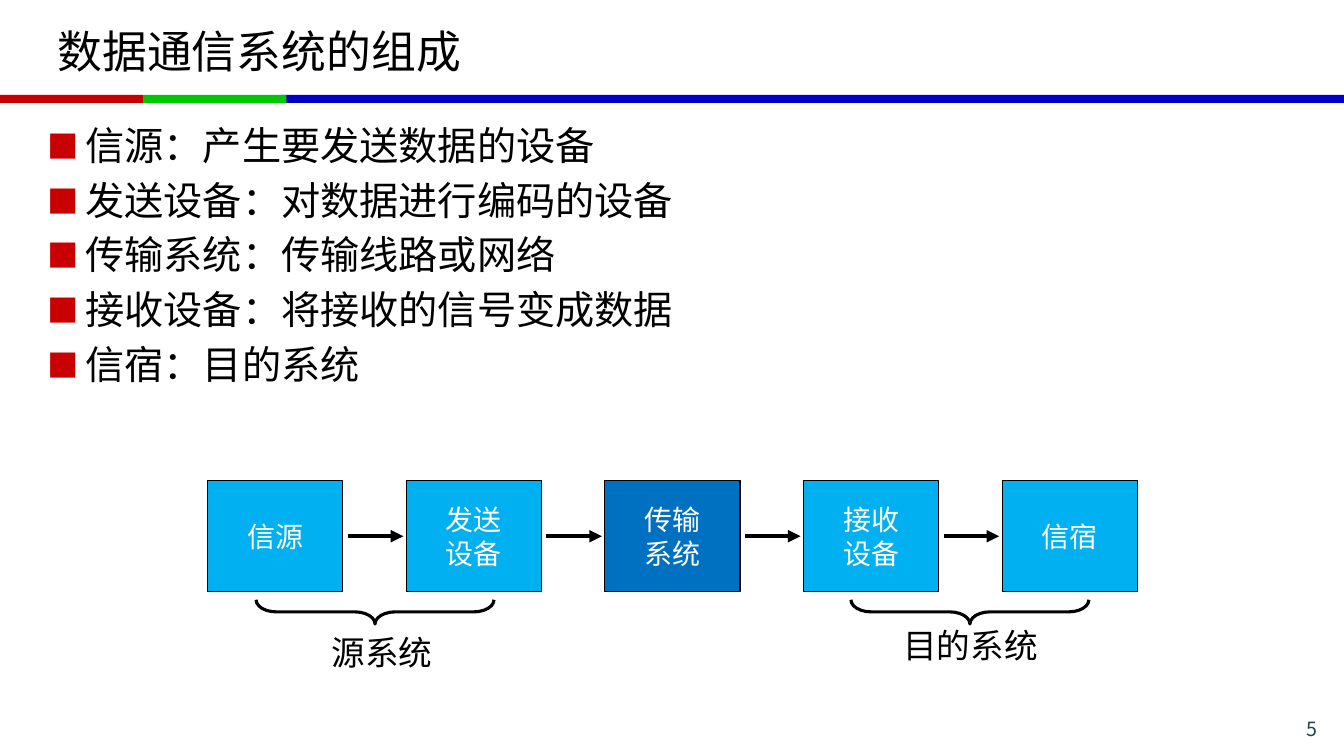
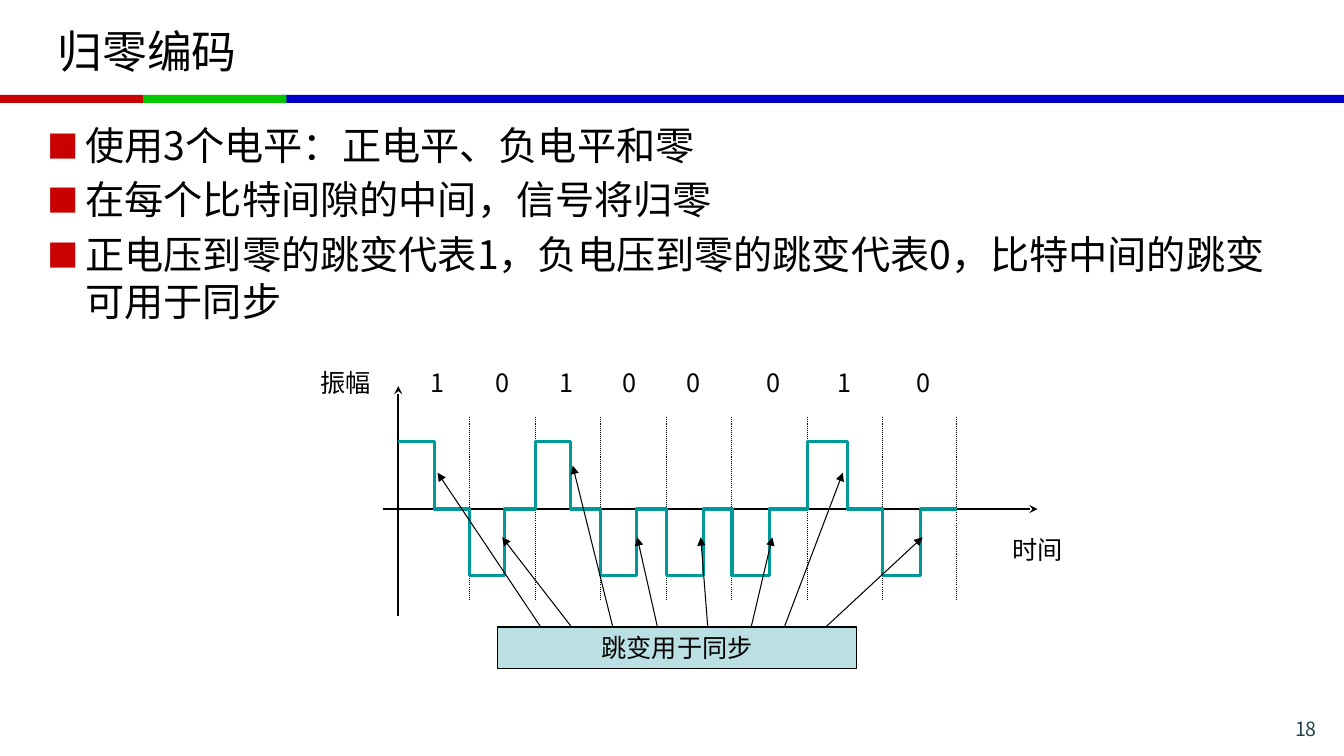
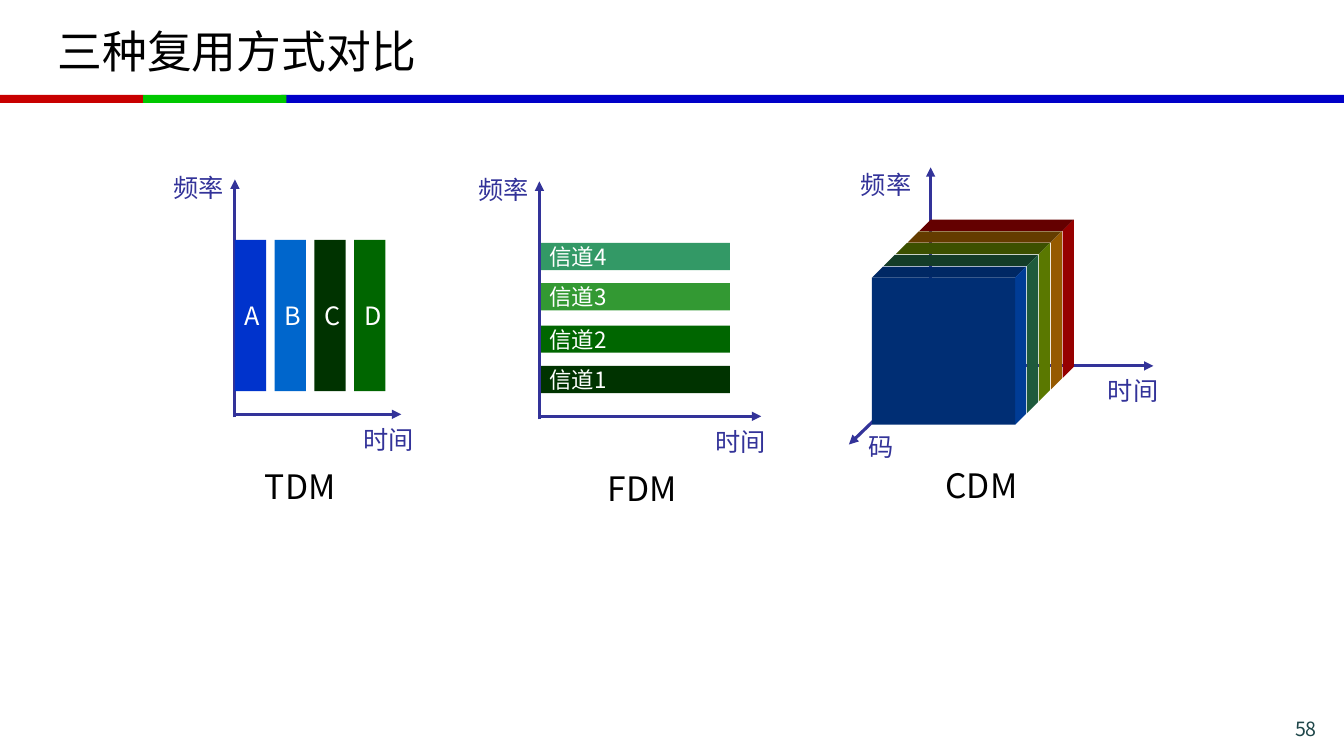
import pptx
import pptx.util
import pptx.dml.color
import pptx.enum.dml
import pptx.enum.shapes
import pptx.enum.text
import pptx.oxml
import pptx.oxml.ns
from pptx.util import Inches

FONT = "Noto Sans CJK SC"
BLACK, WHITE = "000000", "FFFFFF"
RED, GREEN, BLUE = "C80000", "00C800", "0000C8"
PAGE_NUMBER = "1E4649"
SKY, OCEAN, PALE, TEAL = "00B0F0", "0070C0", "BBE0E3", "009999"
AXIS = "333399"

SHAPE = pptx.enum.shapes.MSO_SHAPE
ALIGN = pptx.enum.text.PP_ALIGN
ANCHOR = pptx.enum.text.MSO_ANCHOR
AUTO = pptx.enum.text.MSO_AUTO_SIZE


def rgb(value):
    return pptx.dml.color.RGBColor.from_string(value)


def add_xml(parent, tag, **attributes):
    element = pptx.oxml.parse_xml(f"<{tag} {pptx.oxml.ns.nsdecls('a')}/>")
    for name, value in attributes.items():
        element.set(name, str(value))
    parent.append(element)
    return element


def write(tf, text, size, color=BLACK, align=ALIGN.LEFT, spacing=None):
    """Set the text of a frame and format every run, East Asian font included."""
    tf.text = text
    for p in tf.paragraphs:
        p.alignment = align
        if spacing:
            p.line_spacing = spacing
        for r in p.runs:
            r.font.size = pptx.util.Pt(size)
            r.font.color.rgb = rgb(color)
            r.font.name = FONT
            add_xml(r.font._element, "a:ea", typeface=FONT)


def outline(shape, color, width):
    shape.line.color.rgb = rgb(color)
    shape.line.width = pptx.util.Pt(width)


def paint(shape, fill=None, line=None, width=0.75):
    shape.shadow.inherit = False
    if fill:
        shape.fill.solid()
        shape.fill.fore_color.rgb = rgb(fill)
    else:
        shape.fill.background()
    if line:
        outline(shape, line, width)
    else:
        shape.line.fill.background()


def add_box(s, x, y, w, h, fill, line=None):
    sp = s.shapes.add_shape(SHAPE.RECTANGLE, Inches(x), Inches(y), Inches(w), Inches(h))
    paint(sp, fill, line)
    return sp


def add_text_box(s, x, y, w, h, fill, text, size, color=WHITE, align=ALIGN.LEFT, line=None):
    sp = add_box(s, x, y, w, h, fill, line)
    sp.text_frame.word_wrap = False
    sp.text_frame.vertical_anchor = ANCHOR.MIDDLE
    write(sp.text_frame, text, size, color, align)


def add_label(s, x, y, w, h, text, size, color=BLACK, spacing=None):
    tf = s.shapes.add_textbox(Inches(x), Inches(y), Inches(w), Inches(h)).text_frame
    tf.word_wrap = False
    tf.auto_size = AUTO.SHAPE_TO_FIT_TEXT
    write(tf, text, size, color, spacing=spacing)


def add_line(s, start, end, color=BLACK, width=0.75, arrow=None, dash=None):
    line = s.shapes.add_connector(
        pptx.enum.shapes.MSO_CONNECTOR.STRAIGHT, *map(Inches, start + end))
    outline(line, color, width)
    if dash:
        line.line.dash_style = dash
    if arrow:
        add_xml(line.line._get_or_add_ln(), "a:tailEnd", type=arrow)
    add_xml(line._element.spPr, "a:effectLst")


def add_outline(s, points, close=True):
    """Draw a freeform through points given in inches."""
    points = [(Inches(x), Inches(y)) for x, y in points]
    builder = s.shapes.build_freeform(*points[0], scale=1.0)
    builder.add_line_segments(points[1:], close=close)
    return builder.convert_to_shape()


def add_bullets(s, h, items):
    tf = s.shapes.add_textbox(Inches(0.37), Inches(1.15), Inches(12.6), Inches(h)).text_frame
    tf.word_wrap = True
    write(tf, "\n".join(items), 28)
    for i, p in enumerate(tf.paragraphs):
        if i:
            p.space_before = pptx.util.Pt(5.6)
        pPr = p._p.get_or_add_pPr()
        pPr.set("marL", str(Inches(0.38)))
        pPr.set("indent", str(-Inches(0.38)))
        add_xml(add_xml(pPr, "a:buClr"), "a:srgbClr", val=RED)
        add_xml(pPr, "a:buSzPct", val=80000)
        add_xml(pPr, "a:buFont", typeface=FONT)
        add_xml(pPr, "a:buChar", char="■")


def add_slide(prs, title, number):
    s = prs.slides.add_slide(prs.slide_layouts[5])
    for x, w, color in ((2.79, 10.54, BLUE), (0, 1.42, RED), (1.42, 1.42, GREEN)):
        add_box(s, x, 0.94, w, 0.08, color)
    sp = s.shapes.title
    sp.left, sp.top, sp.width, sp.height = map(Inches, (0.47, 0.08, 12.39, 0.84))
    sp.text_frame.vertical_anchor = ANCHOR.MIDDLE
    sp.text_frame.auto_size = AUTO.NONE
    write(sp.text_frame, title, 32)
    page = s.shapes.add_textbox(Inches(11.86), Inches(7.06), Inches(1.3), Inches(0.28))
    page.text_frame.word_wrap = True
    write(page.text_frame, str(number), 14, PAGE_NUMBER, ALIGN.RIGHT)
    return s


def add_brace(s, center):
    """Draw a brace that opens upwards under two boxes."""
    w, h = 0.24, 2.36
    sp = s.shapes.add_shape(SHAPE.LEFT_BRACE, Inches(center - w / 2), Inches(4.89),
                            Inches(w), Inches(h))
    sp.rotation = 270
    sp.adjustments[0] = 0.83
    paint(sp, line=BLACK, width=2.25)


def system_slide(prs):
    s = add_slide(prs, "数据通信系统的组成", 5)
    add_bullets(s, 3.39, [
        "信源：产生要发送数据的设备",
        "发送设备：对数据进行编码的设备",
        "传输系统：传输线路或网络",
        "接收设备：将接收的信号变成数据",
        "信宿：目的系统",
    ])
    left, pitch, w = 2.06, 1.97, 1.34
    stages = ["信源", "发送\n设备", "传输\n系统", "接收\n设备", "信宿"]
    for i, stage in enumerate(stages):
        x = left + i * pitch
        add_text_box(s, x, 4.77, w, 1.1, OCEAN if i == 2 else SKY, stage, 20,
                     align=ALIGN.CENTER, line=BLACK)
        if i < len(stages) - 1:
            add_line(s, (x + w + 0.05, 5.32), (x + w + 0.6, 5.32), width=3, arrow="triangle")
    add_brace(s, 3.72)
    add_brace(s, 9.62)
    add_label(s, 3.19, 6.22, 1.21, 0.5, "源系统", 24)
    add_label(s, 8.86, 6.15, 1.55, 0.5, "目的系统", 24)


def coding_slide(prs):
    s = add_slide(prs, "归零编码", 18)
    add_bullets(s, 2.6, [
        "使用3个电平：正电平、负电平和零",
        "在每个比特间隙的中间，信号将归零",
        "正电压到零的跳变代表1，负电压到零的跳变代表0，比特中间的跳变可用于同步",
    ])
    zero = 5.05
    level = {"1": 4.38, "0": 5.71}
    edges = [3.95, 4.66, 5.31, 5.96, 6.61, 7.26, 8.01, 8.75, 9.49]
    middles = [4.31, 5, 5.66, 6.31, 6.98, 7.63, 8.41, 9.13]
    label_lefts = [4.17, 4.82, 5.45, 6.08, 6.71, 7.5, 8.21, 8.99]
    tips = [(4.34, 4.69), (4.98, 5.33), (5.68, 4.62), (6.32, 5.33),
            (6.95, 5.33), (7.66, 5.33), (8.36, 4.69), (9.15, 5.33)]
    arrow_starts = [5.45, 5.77, 6.11, 6.55, 7.03, 7.42, 7.73, 8.05]

    add_line(s, (3.95, 6.11), (3.95, 3.83), width=1.25, arrow="stealth")
    add_line(s, (3.8, zero), (10.29, zero), width=1.25, arrow="stealth")
    for x in edges[1:]:
        add_line(s, (x, 4.14), (x, 5.95), dash=pptx.enum.dml.MSO_LINE.ROUND_DOT)
    wave = []
    for bit, start, middle, end in zip("10100010", edges, middles, edges[1:]):
        y = level[bit]
        wave += [(start, y), (middle, y), (middle, zero), (end, zero)]
    paint(add_outline(s, wave, close=False), line=TEAL, width=2.25)
    for bit, x in zip("10100010", label_lefts):
        add_label(s, x, 3.59, 0.3 if bit == "1" else 0.34, 0.4, bit, 18)
    add_label(s, 3.08, 3.59, 0.7, 0.4, "振幅", 18)
    add_label(s, 9.94, 5.25, 0.7, 0.4, "时间", 18)
    for x, tip in zip(arrow_starts, tips):
        add_line(s, (x, 6.35), tip, arrow="triangle")
    add_text_box(s, 4.93, 6.22, 3.57, 0.41, PALE, "跳变用于同步", 18, BLACK,
                 ALIGN.CENTER, BLACK)


def add_axes(s, x, y, right, top, time_left):
    """Draw the frequency and time axes that meet at x, y, with their labels."""
    add_line(s, (x, y), (right, y), AXIS, 2.25, "triangle")
    add_line(s, (x, y + 0.03), (x, top), AXIS, 2.25, "triangle")
    add_axis_label(s, time_left, y + 0.08, "时间")


def add_axis_label(s, x, y, text):
    add_label(s, x, y, 0.35 * len(text), 0.37, text, 18, AXIS, 0.9)


def add_slab(s, x, y, top_color, side_color, front_color=None):
    """Draw the top and side of a slab, and its front where it is seen."""
    w, h, depth = 1.42, 1.46, 0.11
    right, bottom = x + w, y + h
    top = [(x, y), (x + depth, y - depth), (right + depth, y - depth), (right, y)]
    side = [(right, y), (right + depth, y - depth),
            (right + depth, bottom - depth), (right, bottom)]
    paint(add_outline(s, top), top_color)
    paint(add_outline(s, side), side_color)
    if front_color:
        add_box(s, x, y, w, h, front_color)


def multiplexing_slide(prs):
    s = add_slide(prs, "三种复用方式对比", 58)
    add_axes(s, 2.33, 4.11, 3.98, 1.78, 3.51)
    add_axis_label(s, 1.62, 1.69, "频率")
    for i, (name, color) in enumerate(zip("ABCD", ("0033CC", "0066CC", "003300", "006600"))):
        add_text_box(s, 2.33 + i * 0.394, 2.38, 0.31, 1.5, color, name, 18)

    channels = ((4, 2.41, "339966"), (3, 2.81, "339933"), (2, 3.23, "006600"), (1, 3.63, "003300"))
    for number, y, color in channels:
        add_text_box(s, 5.35, y, 1.89, 0.27, color, f"信道{number}", 16)
    add_axes(s, 5.35, 4.13, 7.55, 1.8, 7)
    add_axis_label(s, 4.65, 1.71, "频率")

    add_axes(s, 9.23, 3.63, 11.44, 1.66, 10.89)
    add_axis_label(s, 8.44, 1.66, "频率")
    add_line(s, (9.23, 3.63), (8.42, 4.41), AXIS, 2.25, "triangle")
    add_axis_label(s, 8.52, 4.26, "码")
    slabs = (("640000", "960000"), ("643C00", "965A00"), ("3C5000", "5A7800"),
             ("143C28", "1E5A3C"), ("002864", "003C96", "002E74"))
    for i, colors in enumerate(slabs):
        add_slab(s, 9.12 - i * 0.118, 2.29 + i * 0.116, *colors)

    for x, y, name in ((2.53, 4.62, "TDM"), (5.93, 4.64, "FDM"), (9.28, 4.61, "CDM")):
        add_label(s, x, y, 0.94, 0.46, name, 24, spacing=0.9)


def main():
    prs = pptx.Presentation()
    prs.slide_width, prs.slide_height = Inches(13.33), Inches(7.5)
    system_slide(prs)
    coding_slide(prs)
    multiplexing_slide(prs)
    prs.save("out.pptx")


if __name__ == "__main__":
    main()
